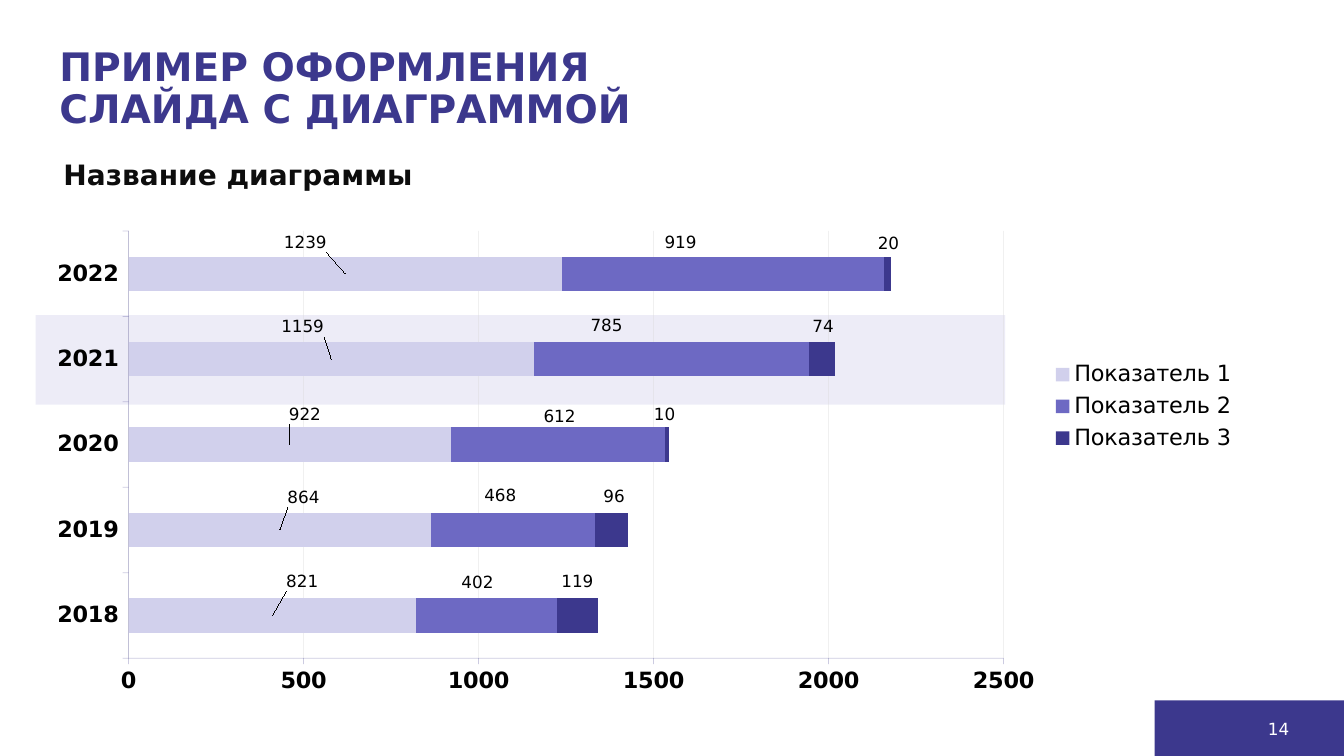
from lxml.etree import SubElement
from pptx import Presentation
from pptx.chart.data import CategoryChartData
from pptx.dml.color import RGBColor
from pptx.enum.chart import XL_CHART_TYPE, XL_LABEL_POSITION, XL_LEGEND_POSITION, XL_TICK_MARK
from pptx.enum.shapes import MSO_SHAPE
from pptx.enum.text import MSO_ANCHOR, PP_ALIGN
from pptx.oxml import parse_xml
from pptx.oxml.ns import nsdecls, qn
from pptx.util import Cm, Pt

INDIGO = RGBColor(0x3C, 0x38, 0x8D)
VIOLET = RGBColor(0x6D, 0x69, 0xC3)
LILAC = RGBColor(0xD1, 0xD0, 0xEC)
GRID_GRAY = RGBColor(0xD9, 0xD9, 0xD9)
INK = RGBColor(0x0D, 0x0D, 0x0D)
BLACK = RGBColor(0, 0, 0)
WHITE = RGBColor(0xFF, 0xFF, 0xFF)

YEARS = ["2018", "2019", "2020", "2021", "2022"]
INDICATORS = [
    ("Показатель 1", [821, 864, 922, 1159, 1239], LILAC, True,
     [(2.4, -6.7), (1.9, -6.3), (1.2, -5.9), (-2.3, -6.3), (-3.2, -6.1)]),
    ("Показатель 2", [402, 468, 612, 785, 919], VIOLET, False,
     [(-0.7, -6.5), (-1, -6.7), (0.1, -5.5), (-5.2, -6.5), (-3.4, -6.1)]),
    ("Показатель 3", [119, 96, 10, 74, 20], INDIGO, False,
     [(0, -6.7), (0.2, -6.5), (-0.2, -5.9), (0.1, -6.3), (0.1, -5.9)]),
]
LEADER_LINES = (
    '<c:extLst %s><c:ext uri="{CE6537A1-D6FC-4f65-9D91-7224C49458BB}" '
    'xmlns:c15="http://schemas.microsoft.com/office/drawing/2012/chart">'
    '<c15:showLeaderLines val="%d"/></c:ext></c:extLst>'
)


def set_alpha(colors, percent):
    for color in colors:
        SubElement(color, qn("a:alpha")).set("val", str(percent * 1000))


def manual_layout(**settings):
    layout = parse_xml(f"<c:layout {nsdecls('c')}><c:manualLayout/></c:layout>")
    for name, value in settings.items():
        SubElement(layout[0], qn(f"c:{name}")).set("val", str(value))
    return layout


class DiagramSlide:
    font_name = "DejaVu Sans"

    def __init__(self, presentation):
        self.slide = presentation.slides.add_slide(presentation.slide_layouts[6])

    def style(self, font, size, color=BLACK, bold=False):
        font.name = self.font_name
        font.size = Pt(size)
        font.bold = bold
        font.color.rgb = color

    def text(self, words, left, top, width, height, *, size, color, bold=False,
             align=PP_ALIGN.LEFT, anchor=MSO_ANCHOR.TOP, spacing=None, wrap=True):
        frame = self.slide.shapes.add_textbox(
            Cm(left), Cm(top), Cm(width), Cm(height)).text_frame
        frame.word_wrap = wrap
        frame.vertical_anchor = anchor
        paragraph = frame.paragraphs[0]
        paragraph.text = words
        paragraph.alignment = align
        paragraph.line_spacing = spacing
        for run in paragraph.runs:
            self.style(run.font, size, color, bold)

    def rectangle(self, left, top, width, height, color, opacity=100):
        block = self.slide.shapes.add_shape(
            MSO_SHAPE.RECTANGLE, Cm(left), Cm(top), Cm(width), Cm(height))
        block.shadow.inherit = False
        block.fill.solid()
        block.fill.fore_color.rgb = color
        block.line.fill.background()
        if opacity < 100:
            set_alpha(block.element.xpath("./p:spPr/a:solidFill/a:srgbClr"), opacity)

    def axis(self, axis):
        axis.major_tick_mark = XL_TICK_MARK.OUTSIDE
        axis.minor_tick_mark = XL_TICK_MARK.NONE
        axis.format.line.color.rgb = INDIGO
        axis.format.line.width = Pt(0.5)
        self.style(axis.tick_labels.font, 16, bold=True)

    def series_labels(self, series, offsets, leader_lines):
        labels = series.data_labels
        labels.show_value = True
        self.style(labels.font, 12)
        for index in range(len(offsets)):
            label = series.points[index].data_label
            self.style(label.font, 12)
            label.position = XL_LABEL_POSITION.CENTER
        for (x, y), index_tag in zip(offsets, series._element.xpath("./c:dLbls/c:dLbl/c:idx")):
            index_tag.addnext(manual_layout(x=x / 100, y=y / 100))
        holder = series._element.xpath("./c:dLbls")[0]
        for flag in holder.xpath("./c:showLeaderLines"):
            flag.set("val", str(int(leader_lines)))
        holder.append(parse_xml(LEADER_LINES % (nsdecls("c"), leader_lines)))

    def stacked_bars(self, left, top, width, height):
        data = CategoryChartData()
        data.categories = YEARS
        for name, values, *_ in INDICATORS:
            data.add_series(name, values)
        chart = self.slide.shapes.add_chart(
            XL_CHART_TYPE.BAR_STACKED, Cm(left), Cm(top), Cm(width), Cm(height), data).chart
        self.style(chart.font, 16)
        chart.has_title = False
        chart.has_legend = True
        chart.legend.position = XL_LEGEND_POSITION.RIGHT
        chart.legend.include_in_layout = False
        self.style(chart.legend.font, 16)

        plot = chart.plots[0]
        plot.gap_width = 150
        plot.overlap = 100
        plot.vary_by_categories = False
        for series, (_, _, color, leader_lines, offsets) in zip(plot.series, INDICATORS):
            series.format.fill.solid()
            series.format.fill.fore_color.rgb = color
            self.series_labels(series, offsets, leader_lines)

        self.axis(chart.category_axis)
        self.axis(chart.value_axis)
        chart.value_axis.minimum_scale = 0
        chart.value_axis.maximum_scale = 2500
        chart.value_axis.major_unit = 500
        chart.value_axis.has_major_gridlines = True
        grid = chart.value_axis.major_gridlines.format.line
        grid.color.rgb = GRID_GRAY
        grid.width = Pt(0.5)
        set_alpha(chart.element.xpath(".//c:plotArea/*/c:spPr/a:ln//a:srgbClr"), 25)
        set_alpha(chart.element.xpath(".//c:majorGridlines//a:srgbClr"), 37)

        for old in chart.element.xpath(".//c:plotArea/c:layout | .//c:legend/c:layout"):
            old.getparent().remove(old)
        chart.element.xpath(".//c:plotArea")[0].insert(0, manual_layout(
            layoutTarget="inner", xMode="edge", yMode="edge",
            x=0.074, y=0.046, w=0.7, h=0.838))
        chart.element.xpath(".//c:legendPos")[0].addnext(manual_layout(
            xMode="edge", yMode="edge", x=0.806, y=0.29, w=0.16, h=0.2))


def main():
    presentation = Presentation()
    presentation.slide_width = Cm(33.87)
    presentation.slide_height = Cm(19.05)
    page = DiagramSlide(presentation)
    page.rectangle(0.9, 7.94, 24.43, 2.26, VIOLET, opacity=12)
    page.text("ПРИМЕР ОФОРМЛЕНИЯ\vСЛАЙДА С ДИАГРАММОЙ", 1.25, 0.97, 29.2, 2.6,
              size=28, color=INDIGO, bold=True, anchor=MSO_ANCHOR.MIDDLE, spacing=0.9)
    page.stacked_bars(0.91, 5.23, 31.5, 12.85)
    page.text("Название диаграммы", 1.35, 3.84, 9.4, 1.12,
              size=20, color=INK, bold=True, wrap=False)
    page.rectangle(29.1, 17.65, 4.77, 1.4, INDIGO)
    page.text("14", 25.12, 17.86, 7.62, 1.02, size=12, color=WHITE,
              align=PP_ALIGN.RIGHT, anchor=MSO_ANCHOR.MIDDLE)
    presentation.save("out.pptx")


if __name__ == "__main__":
    main()
